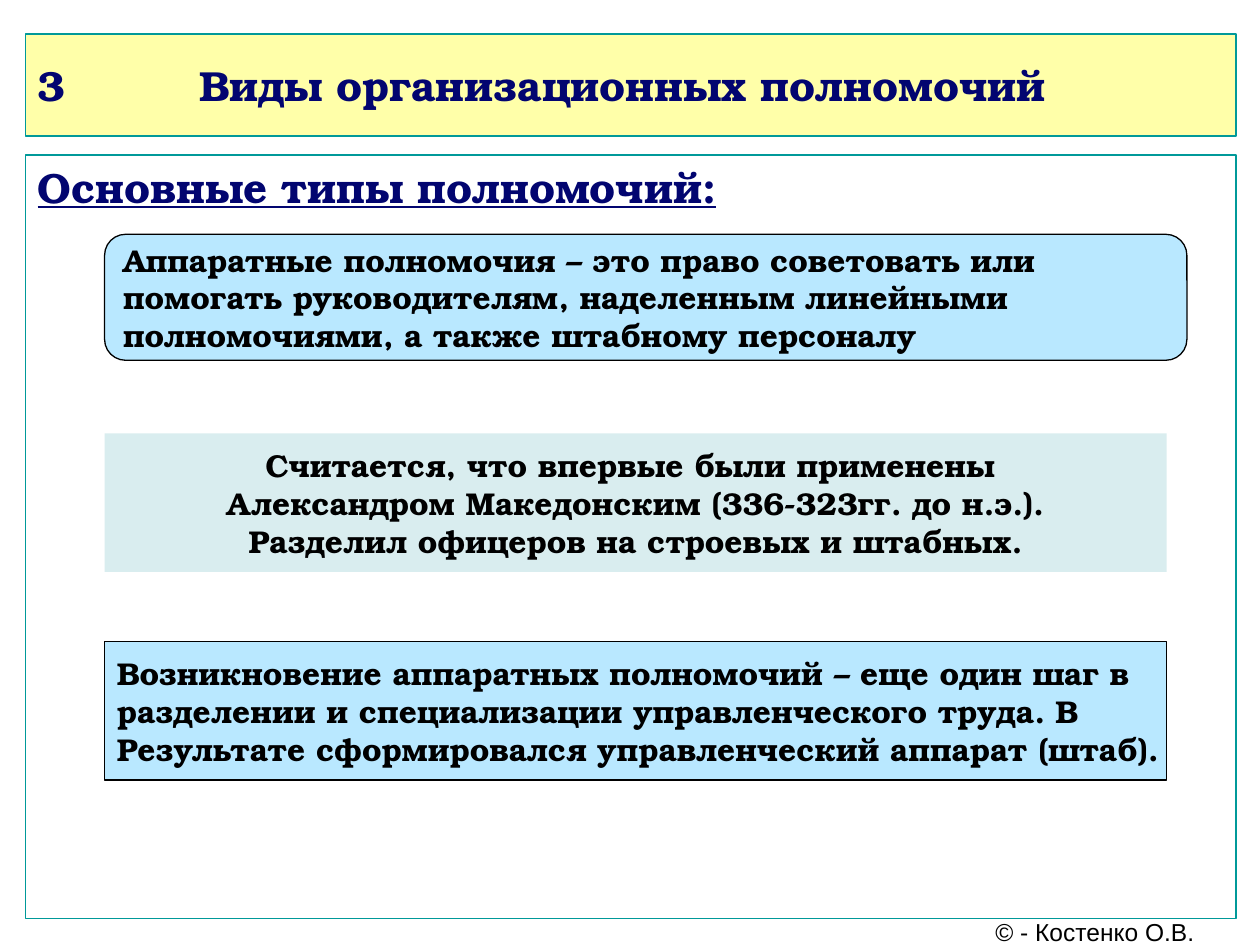
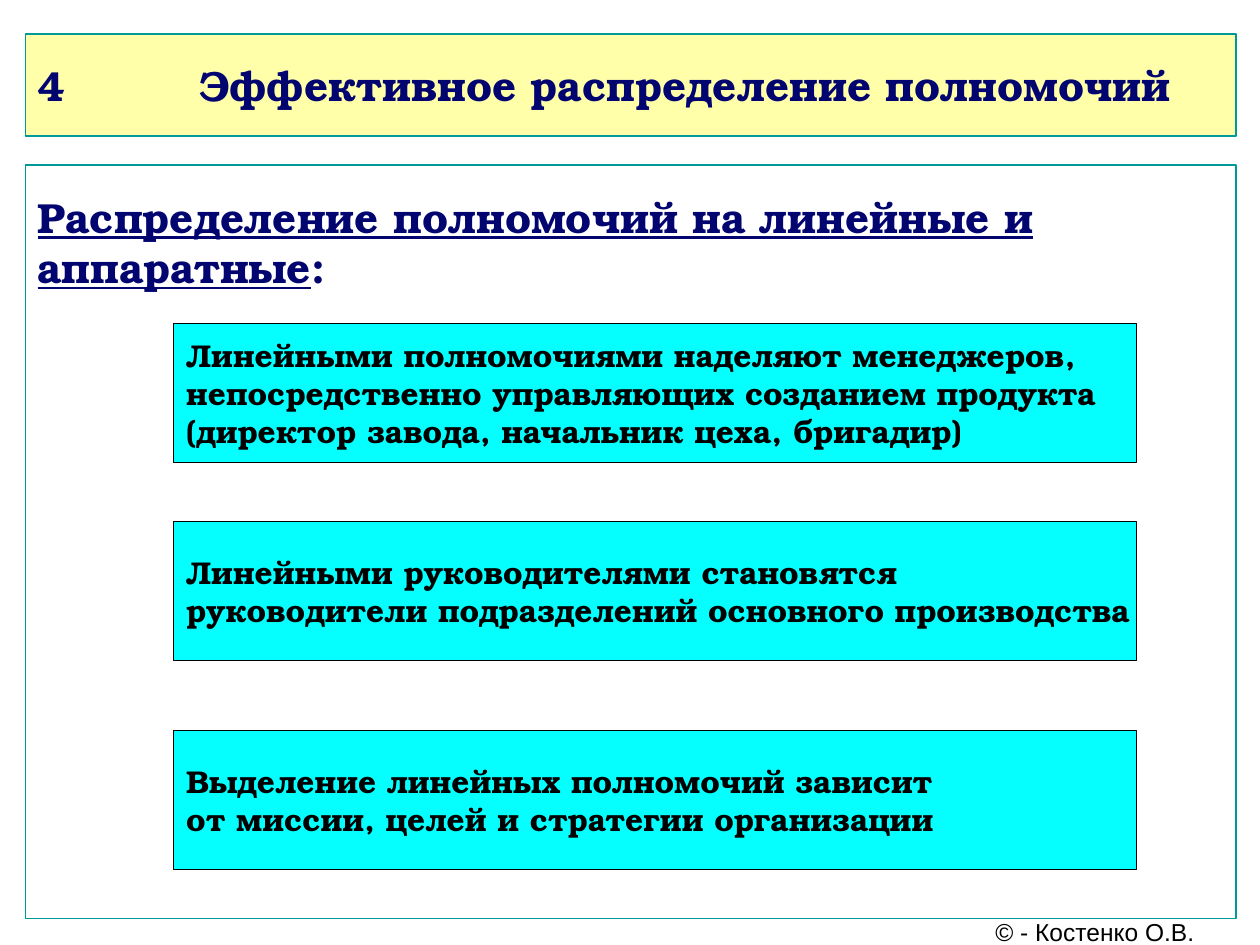
from dataclasses import dataclass
from typing import Any

from lxml.etree import SubElement
from pptx import Presentation
from pptx.dml.color import RGBColor
from pptx.enum.shapes import MSO_SHAPE
from pptx.enum.text import MSO_ANCHOR, MSO_AUTO_SIZE, PP_ALIGN
from pptx.oxml.ns import qn
from pptx.util import Emu, Inches, Pt

COLUMNS, ROWS = 100, 75
SLIDE_WIDTH, SLIDE_HEIGHT = Inches(10), Inches(7.5)


@dataclass(frozen=True)
class Theme:
    navy: str = "020570"
    teal: str = "009999"
    black: str = "000000"
    white: str = "FFFFFF"
    yellow: str = "FFFFA9"
    sky: str = "B9E8FF"
    mist: str = "D9EDEF"
    cyan: str = "05FFFF"
    serif: str = "TeX Gyre Bonum"
    sans: str = "Arial"
    heading_size: int = 24
    body_size: int = 18
    footer_size: int = 14
    line_width: float = 0.75


THEME = Theme()


@dataclass(frozen=True)
class Area:
    """Place on the slide, in grid columns and rows."""
    column: float
    row: float
    columns: float
    rows: float

    def lengths(self) -> tuple[Emu, Emu, Emu, Emu]:
        column, row = SLIDE_WIDTH / COLUMNS, SLIDE_HEIGHT / ROWS
        return (Emu(round(self.column * column)), Emu(round(self.row * row)),
                Emu(round(self.columns * column)), Emu(round(self.rows * row)))


@dataclass(frozen=True)
class TextStyle:
    size: int
    color: str
    name: str = THEME.serif
    bold: bool = True


HEADING = TextStyle(THEME.heading_size, THEME.navy)
STATEMENT = TextStyle(THEME.body_size, THEME.black)
FOOTER = TextStyle(THEME.footer_size, THEME.black, THEME.sans, False)


@dataclass(frozen=True)
class Statement:
    area: Area
    lines: tuple[str, ...]
    fill: str
    outline: str | None = THEME.black
    kind: MSO_SHAPE = MSO_SHAPE.RECTANGLE
    alignment: PP_ALIGN = PP_ALIGN.LEFT


@dataclass(frozen=True)
class Page:
    number: int
    title: str
    panel_row: float
    panel_inset: float
    underlined: str
    ending: str
    statements: tuple[Statement, ...]


TITLE_AREA = Area(2, 2.7, 96.1, 8.1)
FOOTER_AREA = Area(76.8, 72.9, 20.2, 2.1)
PANEL_BOTTOM = 72.9
TITLE_INDENT = Inches(0.78)
TAB_STOPS = (Inches(0), Inches(1))


def authority_area(row: float, columns: float = 84.3, rows: float = 11) -> Area:
    return Area(8.3, row, columns, rows)


def line_authority(row: float, *lines: str) -> Statement:
    return Statement(Area(13.8, row, 76.4, 11), lines, THEME.cyan)


PAGES = (
    Page(3, "Виды организационных полномочий", 12.3, 0.05,
         "Основные типы полномочий:", "", (
             Statement(authority_area(18.6, 85.9, 10),
                       ("Аппаратные полномочия – это право советовать или",
                        "помогать руководителям, наделенным линейными",
                        "полномочиями, а также штабному персоналу"),
                       THEME.sky, kind=MSO_SHAPE.ROUNDED_RECTANGLE),
             Statement(authority_area(34.4),
                       ("Считается, что впервые были применены ",
                        "Александром Македонским (336-323гг. до н.э.).",
                        "Разделил офицеров на строевых и штабных."),
                       THEME.mist, None, alignment=PP_ALIGN.CENTER),
             Statement(authority_area(50.9),
                       ("Возникновение аппаратных полномочий – еще один шаг в",
                        "разделении и специализации управленческого труда. В",
                        "Результате сформировался управленческий аппарат (штаб)."),
                       THEME.sky))),
    Page(4, "Эффективное распределение полномочий", 13.1, 0.21,
         "Распределение полномочий на линейные и аппаратные", ":", (
             line_authority(25.7,
                            "Линейными полномочиями наделяют менеджеров,",
                            "непосредственно управляющих созданием продукта",
                            "(директор завода, начальник цеха, бригадир)"),
             line_authority(41.4,
                            "Линейными руководителями становятся",
                            "руководители подразделений основного производства"),
             line_authority(58,
                            "Выделение линейных полномочий зависит",
                            "от миссии, целей и стратегии организации"))),
)


def apply(target: Any, values: dict[str, Any]) -> None:
    for name, value in values.items():
        setattr(target, name, value)


def paint(shape: Any, fill: str, outline: str | None) -> None:
    shape.fill.solid()
    shape.fill.fore_color.rgb = RGBColor.from_string(fill)
    if outline is None:
        shape.line.fill.background()
    else:
        shape.line.color.rgb = RGBColor.from_string(outline)
        shape.line.width = Pt(THEME.line_width)


def format_frame(shape: Any, **changes: Any) -> Any:
    values = {"auto_size": MSO_AUTO_SIZE.NONE, "word_wrap": True,
              "vertical_anchor": MSO_ANCHOR.MIDDLE,
              "margin_left": Inches(0.1), "margin_right": Inches(0.1),
              "margin_top": Inches(0.05), "margin_bottom": Inches(0.05)}
    apply(shape.text_frame, values | changes)
    return shape.text_frame


def add_run(paragraph: Any, text: str, style: TextStyle, underline: bool = False) -> None:
    run = paragraph.add_run()
    run.text = text
    apply(run.font, {"size": Pt(style.size), "name": style.name,
                     "bold": style.bold, "underline": underline})
    run.font.color.rgb = RGBColor.from_string(style.color)


def add_box(slide: Any, area: Area, fill: str, outline: str | None,
            kind: MSO_SHAPE = MSO_SHAPE.RECTANGLE) -> Any:
    shape = slide.shapes.add_shape(kind, *area.lengths())
    shape.shadow.inherit = False
    paint(shape, fill, outline)
    return shape


def write_title(slide: Any, page: Page) -> None:
    title = slide.shapes.title
    apply(title, dict(zip(("left", "top", "width", "height"), TITLE_AREA.lengths())))
    paint(title, THEME.yellow, THEME.teal)
    paragraph = format_frame(title).paragraphs[0]
    paragraph.alignment = PP_ALIGN.LEFT
    properties = paragraph._p.get_or_add_pPr()
    properties.set("marL", str(TITLE_INDENT))
    properties.set("indent", str(-TITLE_INDENT))
    tab_list = SubElement(properties, qn("a:tabLst"))
    for position in TAB_STOPS:
        SubElement(tab_list, qn("a:tab"), pos=str(position), algn="l")
    add_run(paragraph, f"{page.number}\t\t{page.title}", HEADING)


def add_panel(slide: Any, page: Page) -> None:
    area = Area(TITLE_AREA.column, page.panel_row, TITLE_AREA.columns,
                PANEL_BOTTOM - page.panel_row)
    panel = add_box(slide, area, THEME.white, THEME.teal)
    frame = format_frame(panel, vertical_anchor=MSO_ANCHOR.TOP,
                         margin_top=Inches(page.panel_inset))
    paragraph = frame.paragraphs[0]
    paragraph.alignment = PP_ALIGN.LEFT
    add_run(paragraph, page.underlined, HEADING, underline=True)
    if page.ending:
        add_run(paragraph, page.ending, HEADING)


def add_statement(slide: Any, statement: Statement) -> None:
    box = add_box(slide, statement.area, statement.fill, statement.outline, statement.kind)
    frame = format_frame(box, word_wrap=False)
    for index, line in enumerate(statement.lines):
        paragraph = frame.add_paragraph() if index else frame.paragraphs[0]
        paragraph.alignment = statement.alignment
        add_run(paragraph, line, STATEMENT)


def add_footer(slide: Any) -> None:
    box = slide.shapes.add_textbox(*FOOTER_AREA.lengths())
    paragraph = format_frame(box, word_wrap=False).paragraphs[0]
    paragraph.alignment = PP_ALIGN.CENTER
    add_run(paragraph, "© - Костенко О.В.", FOOTER)


def main() -> None:
    presentation = Presentation()
    apply(presentation, {"slide_width": SLIDE_WIDTH, "slide_height": SLIDE_HEIGHT})
    title_only = presentation.slide_layouts.get_by_name("Title Only")
    for page in PAGES:
        slide = presentation.slides.add_slide(title_only)
        write_title(slide, page)
        add_panel(slide, page)
        for statement in page.statements:
            add_statement(slide, statement)
        add_footer(slide)
    presentation.save("out.pptx")


if __name__ == "__main__":
    main()
